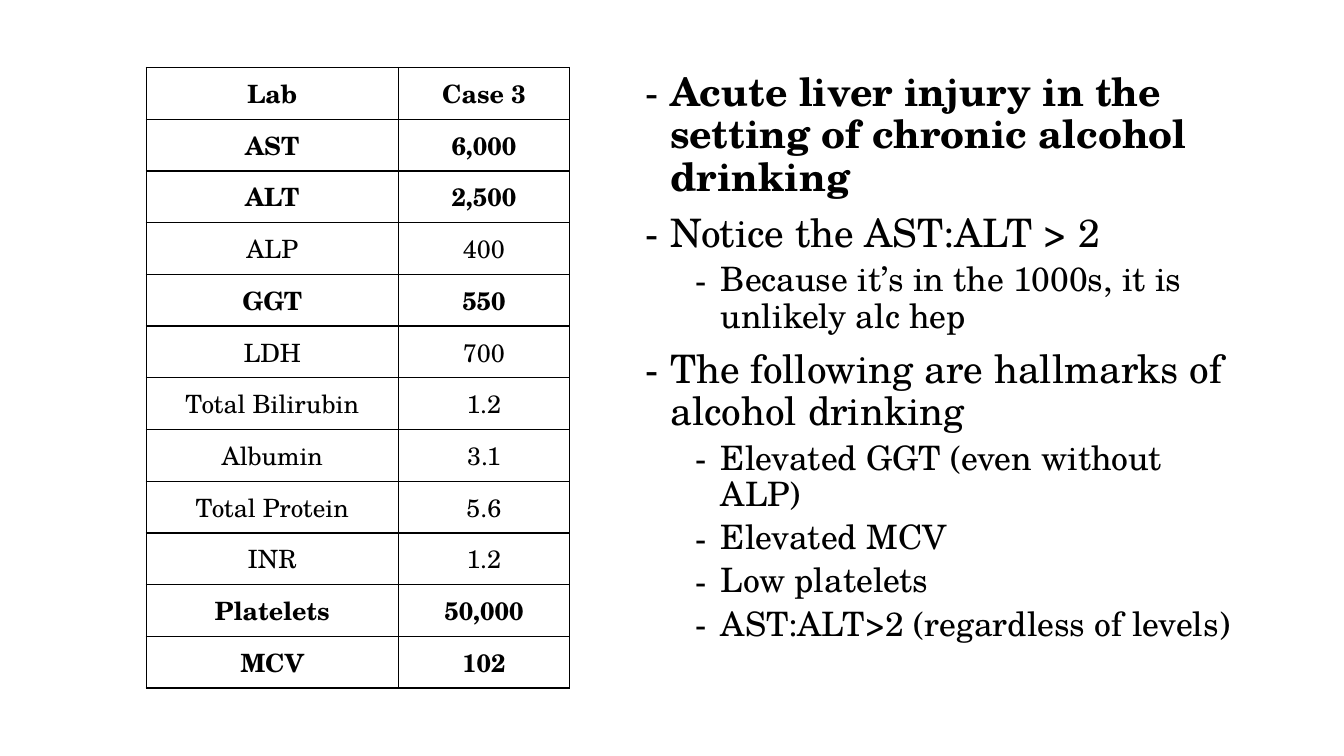
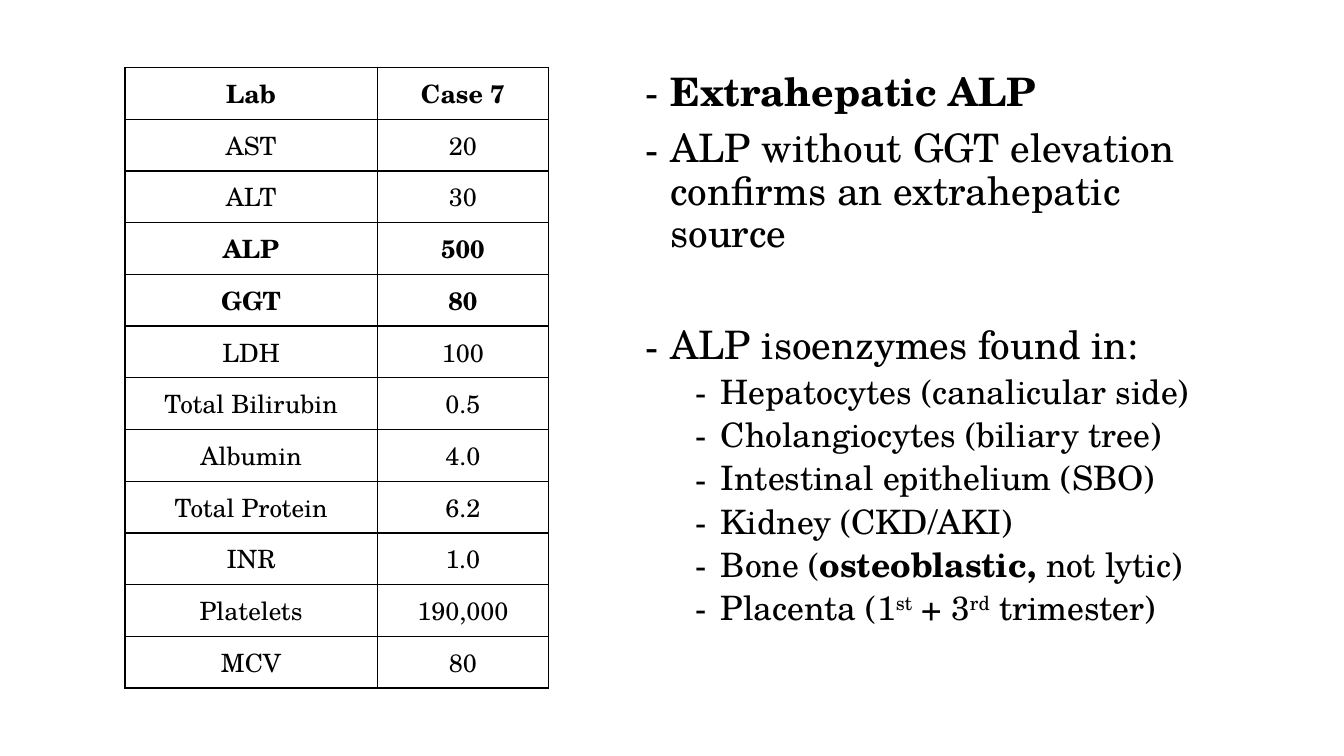
from lxml import etree
from pptx import Presentation
from pptx.dml.color import RGBColor
from pptx.enum import text
from pptx.oxml import ns
from pptx.util import Inches, Pt

COLORS = {"ink": "000000", "paper": "FFFFFF"}
FONT = "TeX Gyre Schola"

# Shared layout
TOP, HEIGHT = 0.67, 6.16
COLUMN_WIDTHS = (2.5, 1.7)
NOTES_LEFT, NOTES_WIDTH = 6.3, 6.11
# Per outline level: text indent (inches), size, space before (points)
LEVELS = ((0.25, 28, 10), (0.75, 24, 5))
HANGING = 0.25
SECTION_GAP = 50

LABS = ("AST", "ALT", "ALP", "GGT", "LDH", "Total Bilirubin", "Albumin",
        "Total Protein", "INR", "Platelets", "MCV")


def color(name):
    return RGBColor.from_string(COLORS[name])


def style_font(font, size, bold=None):
    font.name = FONT
    font.size = Pt(size)
    font.bold = bold
    font.color.rgb = color("ink")


def add_child(parent, tag, **attributes):
    return etree.SubElement(parent, ns.qn(tag), attributes)


# Lab table
def add_borders(cell):
    properties = cell._tc.get_or_add_tcPr()
    for side in ("a:lnL", "a:lnR", "a:lnT", "a:lnB"):
        line = add_child(properties, side, w=str(Pt(1)))
        fill = add_child(line, "a:solidFill")
        add_child(fill, "a:srgbClr", val=COLORS["ink"])


def fill_cell(cell, value, bold):
    add_borders(cell)
    cell.fill.background()
    cell.vertical_anchor = text.MSO_ANCHOR.MIDDLE
    cell.text = value
    para = cell.text_frame.paragraphs[0]
    para.alignment = text.PP_ALIGN.CENTER
    style_font(para.font, 18, bold)


def add_lab_table(page, left, case, values, abnormal):
    rows = [("Lab", case), *zip(LABS, values)]
    frame = page.shapes.add_table(
        len(rows), len(COLUMN_WIDTHS), Inches(left), Inches(TOP),
        Inches(sum(COLUMN_WIDTHS)), Inches(HEIGHT))
    table = frame.table
    table.first_row = table.horz_banding = False
    for column, width in zip(table.columns, COLUMN_WIDTHS):
        column.width = Inches(width)
    for r, row in enumerate(rows):
        table.rows[r].height = Inches(HEIGHT / len(rows))
        for c, value in enumerate(row):
            fill_cell(table.cell(r, c), value, r == 0 or row[0] in abnormal)


# Teaching points
def add_span(para, words, style=None):
    span = para.add_run()
    span.text = words
    if style == "bold":
        span.font.bold = True
    elif style == "super":
        span._r.get_or_add_rPr().set("baseline", "30000")


def format_point(para, level, space_before):
    indent, size, _ = LEVELS[level]
    para.level = level
    properties = para._p.get_or_add_pPr()
    properties.set("marL", str(Inches(indent)))
    properties.set("indent", str(-Inches(HANGING)))
    add_child(properties, "a:buFont", typeface=FONT)
    add_child(properties, "a:buChar", char="-")
    para.line_spacing = 0.9
    para.space_before = Pt(space_before)
    style_font(para.font, size)


def add_notes(page, points, section_start):
    box = page.shapes.add_textbox(
        Inches(NOTES_LEFT), Inches(TOP), Inches(NOTES_WIDTH), Inches(HEIGHT))
    frame = box.text_frame
    frame.word_wrap = True
    for index, (level, *spans) in enumerate(points):
        para = frame.paragraphs[0] if index == 0 else frame.add_paragraph()
        space = LEVELS[level][2]
        if index == 0:
            space = 0
        elif index == section_start:
            space = SECTION_GAP
        format_point(para, level, space)
        for span in spans:
            add_span(para, *span)


CASES = (
    {
        "left": 1.45,
        "case": "Case 3",
        "values": ("6,000", "2,500", "400", "550", "700", "1.2", "3.1",
                   "5.6", "1.2", "50,000", "102"),
        "abnormal": {"AST", "ALT", "GGT", "Platelets", "MCV"},
        "section_start": None,
        "points": (
            (0, ("Acute liver injury in the setting of chronic alcohol drinking", "bold")),
            (0, ("Notice the AST:ALT > 2",)),
            (1, ("Because it’s in the 1000s, it is unlikely alc hep",)),
            (0, ("The following are hallmarks of alcohol drinking",)),
            (1, ("Elevated GGT (even without ALP)",)),
            (1, ("Elevated MCV",)),
            (1, ("Low platelets",)),
            (1, ("AST:ALT>2 (regardless of levels)",)),
        ),
    },
    {
        "left": 1.24,
        "case": "Case 7",
        "values": ("20", "30", "500", "80", "100", "0.5", "4.0", "6.2",
                   "1.0", "190,000", "80"),
        "abnormal": {"ALP", "GGT"},
        "section_start": 2,
        "points": (
            (0, ("Extrahepatic ALP", "bold")),
            (0, ("ALP without GGT elevation confirms an extrahepatic source",)),
            (0, ("ALP isoenzymes found in:",)),
            (1, ("Hepatocytes (canalicular side)",)),
            (1, ("Cholangiocytes (biliary tree)",)),
            (1, ("Intestinal epithelium (SBO)",)),
            (1, ("Kidney (CKD/AKI)",)),
            (1, ("Bone (",), ("osteoblastic, ", "bold"), ("not lytic)",)),
            (1, ("Placenta (1",), ("st", "super"), (" + 3",),
             ("rd", "super"), (" trimester)",)),
        ),
    },
)


def main():
    deck = Presentation()
    deck.slide_width, deck.slide_height = Inches(13.33), Inches(7.5)
    for case in CASES:
        page = deck.slides.add_slide(deck.slide_layouts[6])
        page.background.fill.solid()
        page.background.fill.fore_color.rgb = color("paper")
        add_lab_table(page, case["left"], case["case"], case["values"],
                      case["abnormal"])
        add_notes(page, case["points"], case["section_start"])
    deck.save("out.pptx")


if __name__ == "__main__":
    main()
